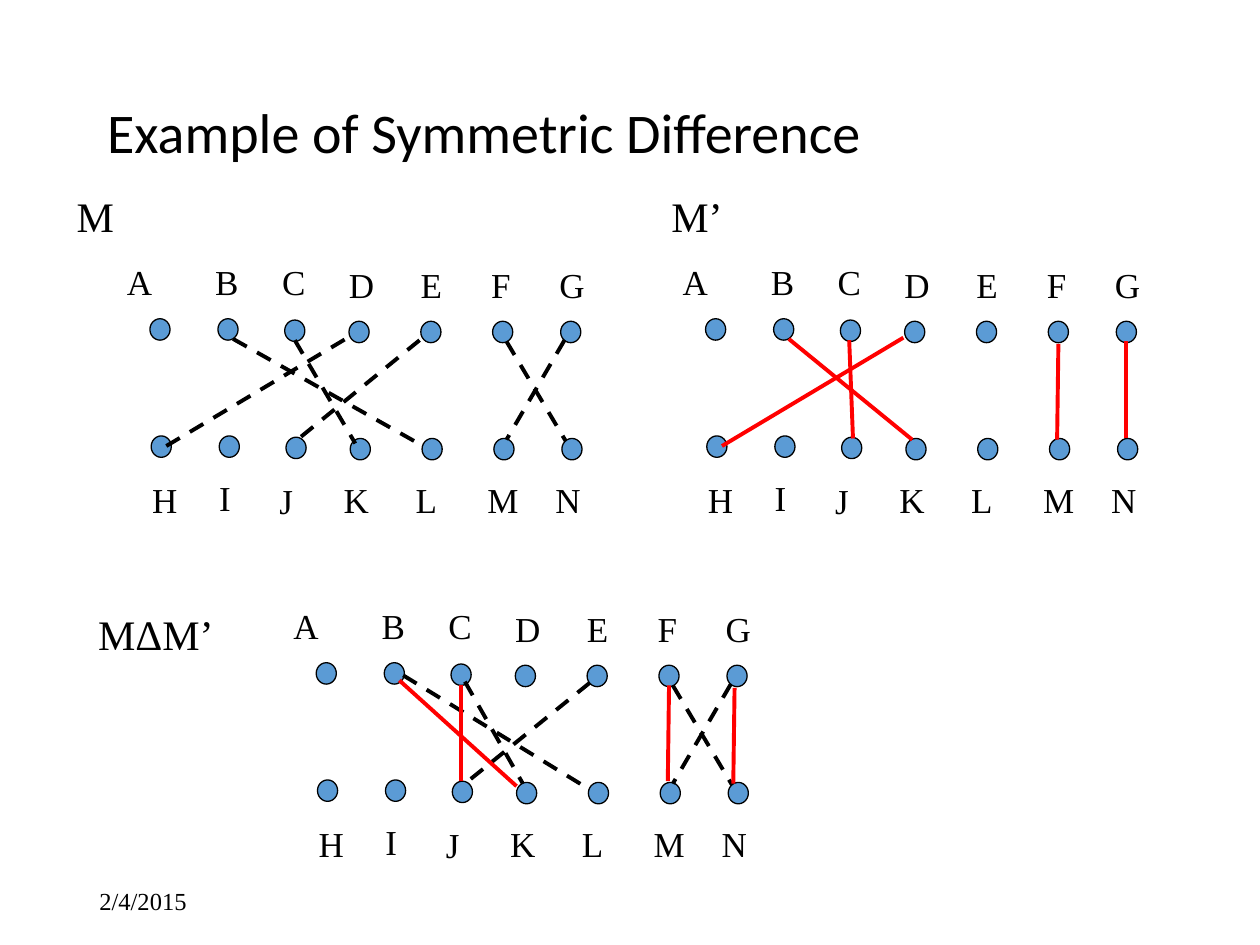
from pptx import Presentation
from pptx.dml.color import RGBColor
from pptx.enum.dml import MSO_LINE
from pptx.enum.shapes import MSO_CONNECTOR, MSO_SHAPE
from pptx.enum.text import MSO_ANCHOR, MSO_AUTO_SIZE, PP_ALIGN
from pptx.oxml.ns import qn
from pptx.util import Inches, Pt

COLORS = {"ink": "000000", "dot": "5B9BD5", "red": "FF0000"}
SERIF = "Times New Roman"

# Each node: name, label left, label top, label width, dot left, dot top
NODES = [
    ("A", 0.91, 2.02, 0.36, 1.19, 2.53),
    ("B", 1.61, 2.02, 0.36, 1.73, 2.53),
    ("C", 2.14, 2.02, 0.36, 2.26, 2.54),
    ("D", 2.67, 2.04, 0.39, 2.77, 2.55),
    ("E", 3.24, 2.04, 0.39, 3.34, 2.55),
    ("F", 3.8, 2.04, 0.39, 3.91, 2.55),
    ("G", 4.34, 2.04, 0.39, 4.45, 2.55),
    ("H", 1.11, 3.75, 0.36, 1.2, 3.46),
    ("I", 1.64, 3.73, 0.36, 1.74, 3.46),
    ("J", 2.12, 3.76, 0.36, 2.27, 3.47),
    ("K", 2.63, 3.75, 0.36, 2.78, 3.48),
    ("L", 3.2, 3.75, 0.36, 3.35, 3.48),
    ("M", 3.77, 3.75, 0.36, 3.92, 3.48),
    ("N", 4.31, 3.75, 0.4, 4.46, 3.48),
]

# Each graph: name, name box, shift of the nodes, dashed edges, red edges
GRAPHS = [
    ("M", (0.51, 1.46, 0.71, 0.5), (0, 0), [
        (1.32, 3.54, 2.76, 2.68), (2.34, 2.7, 2.82, 3.52),
        (3.33, 2.7, 2.36, 3.49), (4.02, 2.71, 4.49, 3.5),
        (4.48, 2.7, 4.02, 3.49), (1.85, 2.69, 3.34, 3.53),
    ], []),
    ("M’", (5.23, 1.46, 0.71, 0.5), (4.41, 0), [], [
        (5.73, 3.54, 7.17, 2.68), (6.74, 2.7, 6.77, 3.48),
        (8.4, 2.73, 8.39, 3.49), (8.94, 2.71, 8.94, 3.48),
        (6.26, 2.69, 7.24, 3.49),
    ]),
    ("MΔM’", (0.68, 4.78, 1.2, 0.5), (1.32, 2.73), [
        (3.69, 5.41, 4.15, 6.22), (4.68, 5.42, 3.69, 6.22),
        (3.2, 5.36, 4.67, 6.26), (5.34, 5.44, 5.81, 6.23),
        (5.8, 5.43, 5.34, 6.22),
    ], [
        (5.31, 5.44, 5.3, 6.2), (5.83, 5.46, 5.82, 6.22),
        (3.17, 5.4, 4.1, 6.24), (3.66, 5.44, 3.66, 6.2),
    ]),
]


def assign(item, values):
    for name, value in values.items():
        setattr(item, name, value)


class Sketch:
    def __init__(self, slide):
        self.slide = slide
        self.shapes = slide.shapes

    def color(self, name):
        return RGBColor.from_string(COLORS[name])

    def fill_text(self, shape, text, size, font, frame):
        assign(shape.text_frame, {"word_wrap": True, **frame})
        para = shape.text_frame.paragraphs[0]
        para.alignment = PP_ALIGN.LEFT
        run = para.add_run()
        run.text = text
        assign(run.font, {"name": font, "size": Pt(size)})
        run.font.color.rgb = self.color("ink")
        return para

    def title(self, text, box):
        shape = self.shapes.title
        sides = ("left", "top", "width", "height")
        assign(shape, dict(zip(sides, map(Inches, box))))
        frame = {"vertical_anchor": MSO_ANCHOR.MIDDLE,
                 "auto_size": MSO_AUTO_SIZE.NONE}
        para = self.fill_text(shape, text, 32, "Calibri", frame)
        para.line_spacing = 0.9

    def label(self, text, box, size):
        shape = self.shapes.add_textbox(*map(Inches, box))
        frame = {"auto_size": MSO_AUTO_SIZE.SHAPE_TO_FIT_TEXT}
        self.fill_text(shape, text, size, SERIF, frame)

    def date(self, text, box):
        shape = self.shapes.add_textbox(*map(Inches, box))
        frame = {"vertical_anchor": MSO_ANCHOR.MIDDLE}
        self.fill_text(shape, text, 14, SERIF, frame)

    def dot(self, left, top):
        box = map(Inches, (left, top, 0.16, 0.17))
        shape = self.shapes.add_shape(MSO_SHAPE.OVAL, *box)
        shape.shadow.inherit = False
        shape.fill.solid()
        shape.fill.fore_color.rgb = self.color("dot")
        shape.line.color.rgb = self.color("ink")
        shape.line.width = Pt(0.75)

    def edge(self, ends, color, dash=None):
        link = self.shapes.add_connector(
            MSO_CONNECTOR.STRAIGHT, *map(Inches, ends))
        link.line.color.rgb = self.color(color)
        assign(link.line, {"width": Pt(2.25), "dash_style": dash})
        props = link._element.spPr
        props.append(props.makeelement(qn("a:effectLst"), {}))

    def graph(self, name, box, shift, dashed, red):
        right, down = shift
        for node, left, top, width, dot_x, dot_y in NODES:
            self.dot(dot_x + right, dot_y + down)
            self.label(node, (left + right, top + down, width, 0.43), 20)
        for ends in dashed:
            self.edge(ends, "ink", MSO_LINE.DASH)
        for ends in red:
            self.edge(ends, "red")
        self.label(name, box, 24)


def main():
    deck = Presentation()
    assign(deck, {"slide_width": Inches(10), "slide_height": Inches(7.5)})
    sketch = Sketch(deck.slides.add_slide(deck.slide_layouts[5]))
    sketch.title("Example of Symmetric Difference", (0.75, 0.67, 8.5, 0.81))
    sketch.date("2/4/2015", (0.69, 6.95, 2.25, 0.4))
    for graph in GRAPHS:
        sketch.graph(*graph)
    deck.save("out.pptx")


if __name__ == "__main__":
    main()
